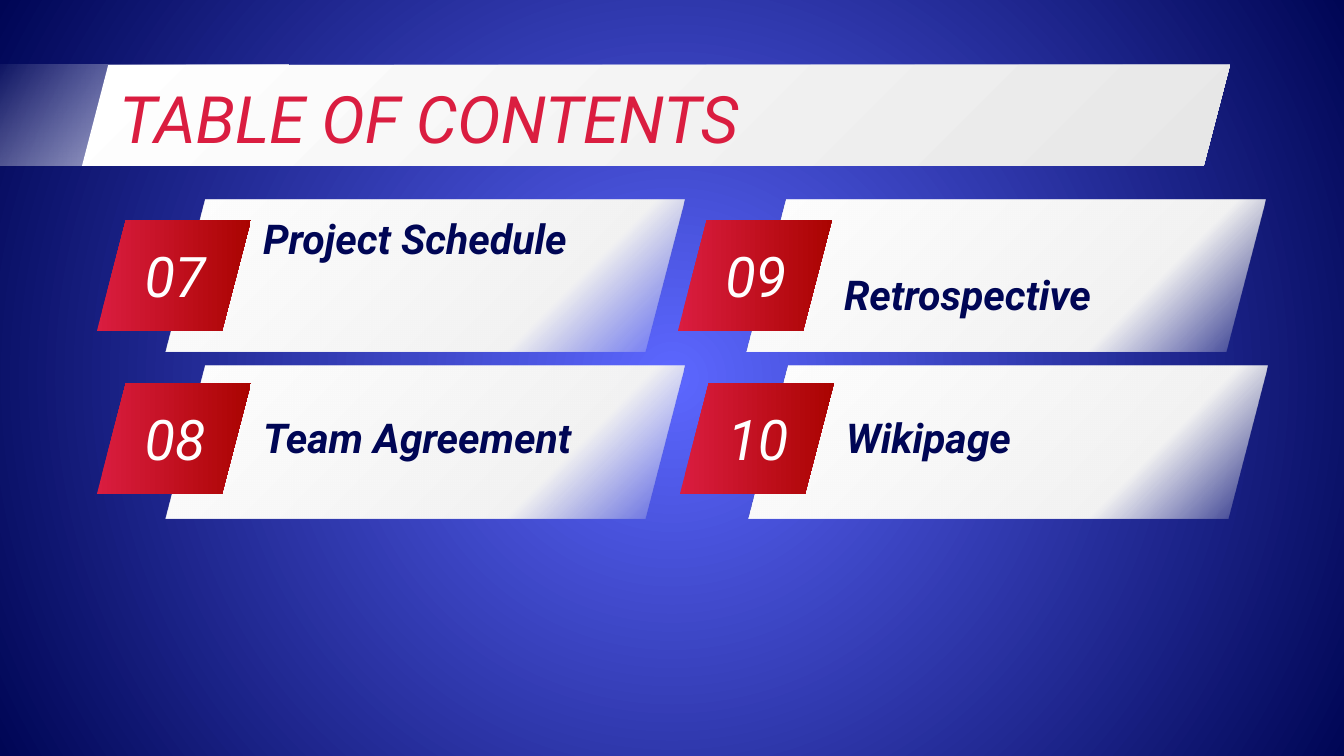
from dataclasses import dataclass

from lxml import etree
from pptx import Presentation
from pptx import util as u
from pptx.dml.color import RGBColor
from pptx.enum import shapes, text
from pptx.oxml import ns

EMU_PER_PX = 914400 / 134.4
INSET = 13


@dataclass(frozen=True)
class Theme:
    font: str = "Roboto"
    red: str = "DA1D40"
    navy: str = "000655"
    white: str = "FFFFFF"
    title_size: int = 35
    number_size: int = 30
    label_size: int = 22
    # Gradient stops: position, colour, opacity in percent
    glow: tuple = ((0, "5C67FF", 100), (100, "000655", 100))
    fade: tuple = ((0, "FFFFFF", 0), (100, "FFFFFF", 100))
    band: tuple = ((0, "FFFFFF", 100), (100, "E7E7E7", 100))
    panel: tuple = ((0, "FFFFFF", 100), (73, "F3F3F3", 100), (100, "E7E7E7", 4))
    badge: tuple = ((0, "DA1D40", 100), (100, "AA0401", 100))


THEME = Theme()


def px(length):
    return u.Emu(round(length * EMU_PER_PX))


def add_element(parent, tag, **attributes):
    return etree.SubElement(parent, ns.qn(tag), attributes)


def gradient(stops, angle=None):
    """Linear gradient at an angle, or a circular one from the centre."""
    fill = etree.Element(ns.qn("a:gradFill"), {"rotWithShape": "1"})
    stop_list = add_element(fill, "a:gsLst")
    for position, color, opacity in stops:
        stop = add_element(stop_list, "a:gs", pos=str(position * 1000))
        shade = add_element(stop, "a:srgbClr", val=color)
        if opacity < 100:
            add_element(shade, "a:alpha", val=str(opacity * 1000))
    if angle is None:
        circle = add_element(fill, "a:path", path="circle")
        add_element(circle, "a:fillToRect", l="50000", t="50000", r="50000", b="50000")
    else:
        add_element(fill, "a:lin", ang=str(angle * 60000), scaled="0")
    return fill


def replace_fill(owner, properties, new_fill):
    owner.fill.solid()
    old_fill = properties.find(ns.qn("a:solidFill"))
    properties.replace(old_fill, new_fill)


def add_block(page, kind, box, stops, angle, slant=None):
    block = page.shapes.add_shape(kind, *map(px, box))
    block.shadow.inherit = False
    block.line.fill.background()
    replace_fill(block, block._element.spPr, gradient(stops, angle))
    if slant is not None:
        block.adjustments[0] = slant
    return block


def write(holder, box, words, size, color, anchor, align=text.PP_ALIGN.LEFT,
          bold=False, bottom=INSET):
    holder.left, holder.top, holder.width, holder.height = map(px, box)
    frame = holder.text_frame
    frame.text = words
    frame.word_wrap = True
    frame.auto_size = text.MSO_AUTO_SIZE.NONE
    frame.vertical_anchor = anchor
    frame.margin_left = frame.margin_right = frame.margin_top = px(INSET)
    frame.margin_bottom = px(bottom)
    para = frame.paragraphs[0]
    para.alignment = align
    para.space_before = u.Pt(0)
    properties = para._p.get_or_add_pPr()
    properties.set("marL", "0")
    properties.set("indent", "0")
    add_element(properties, "a:buNone")
    font = para.runs[0].font
    font.name, font.size = THEME.font, u.Pt(size)
    font.bold, font.italic = bold, True
    font.color.rgb = RGBColor.from_string(color)


def add_background(page):
    background = page.background
    background.fill.solid()
    properties = page._element.cSld.find(".//" + ns.qn("p:bgPr"))
    replace_fill(background, properties, gradient(THEME.glow))


def add_header(page, box, words):
    left, top, width, height = box
    # Fading tail and white band
    add_block(page, shapes.MSO_SHAPE.RECTANGLE, (left - 102, top, 308, height),
              THEME.fade, 45)
    add_block(page, shapes.MSO_SHAPE.PARALLELOGRAM, box, THEME.band, 45, 0.26)
    # Title
    title = page.shapes.title
    page.shapes._spTree.append(title._element)
    write(title, (left + 24, top, width - 15, 84), words, THEME.title_size,
          THEME.red, text.MSO_ANCHOR.TOP)


def add_entry(page, holder, box, number, words, panel_shift, label_shift, bottom):
    left, top, width, height = box
    # Pale panel and red badge
    slanted = shapes.MSO_SHAPE.PARALLELOGRAM
    add_block(page, slanted, (left + 69, top - panel_shift, 518, 152),
              THEME.panel, 45, 0.26)
    add_block(page, slanted, box, THEME.badge, 0, 0.26)
    # Number
    number_box = (left + 15, top + 12, width - 28, height - 24)
    write(page.shapes.add_textbox(0, 0, 0, 0), number_box, number,
          THEME.number_size, THEME.white, text.MSO_ANCHOR.MIDDLE,
          text.PP_ALIGN.CENTER)
    # Label
    page.shapes._spTree.append(holder._element)
    write(holder, (left + 153, top + label_shift, 400, 75), words,
          THEME.label_size, THEME.navy, text.MSO_ANCHOR.BOTTOM, bold=True,
          bottom=bottom)


def main():
    deck = Presentation()
    deck.slide_width, deck.slide_height = px(1344), px(756)
    comparison = deck.slide_layouts.get_by_name("Comparison")
    page = deck.slides.add_slide(comparison)
    bodies = [holder for holder in page.placeholders
              if holder.placeholder_format.idx in range(1, 5)]

    add_background(page)
    add_header(page, (82, 65, 1148, 101), "TABLE OF CONTENTS")

    # Badge left and top, number, label, panel shift, label shift, bottom inset
    entries = (
        (97, 220, "07", "Project Schedule", 20, 25, 57),
        (97, 383, "08", "Team Agreement", 17, 17, INSET),
        (678, 220, "09", "Retrospective", 20, 37, INSET),
        (680, 383, "10", "Wikipage", 17, 17, INSET),
    )
    for holder, (left, top, *details) in zip(bodies, entries):
        add_entry(page, holder, (left, top, 154, 111), *details)

    deck.save("out.pptx")


if __name__ == "__main__":
    main()
